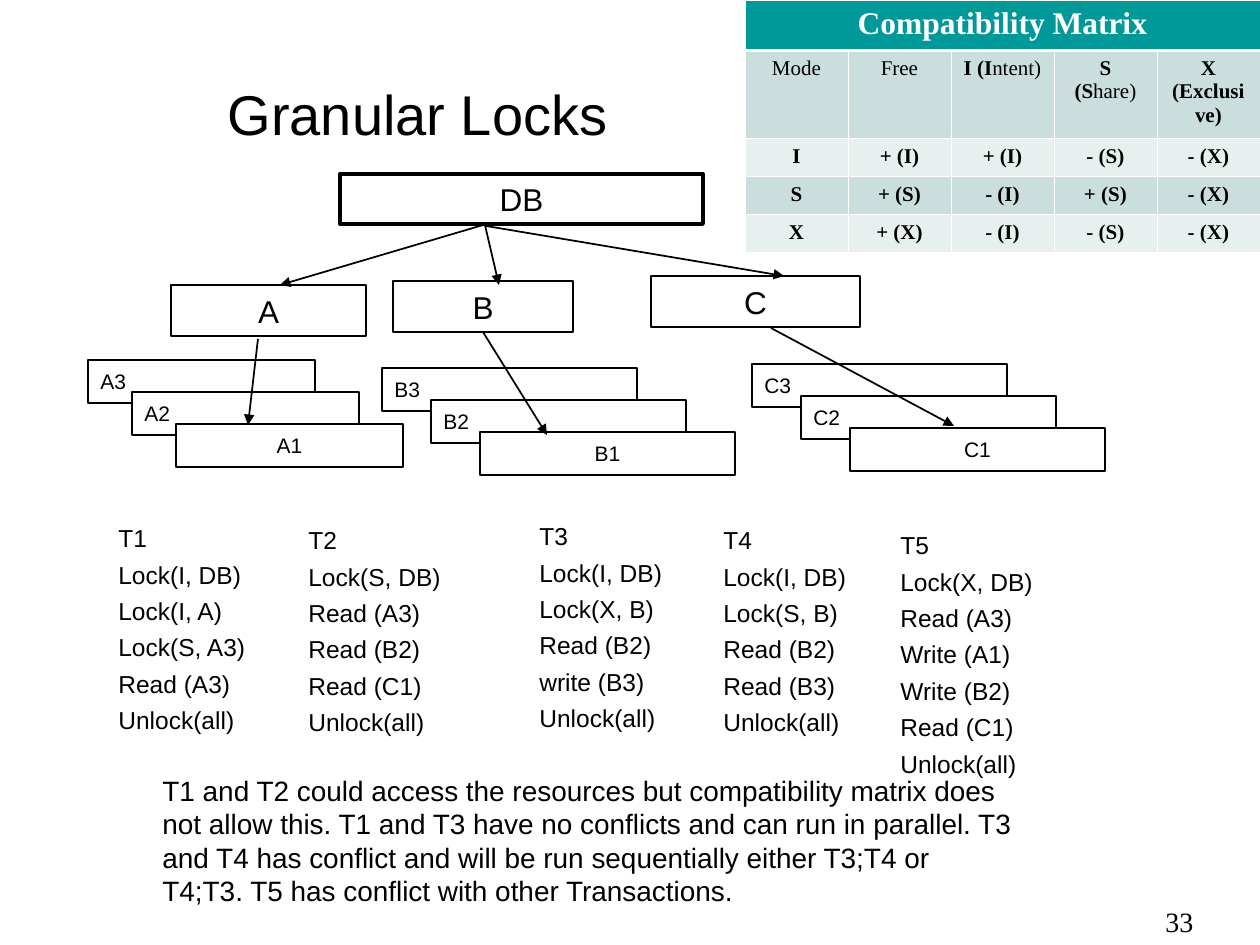
from dataclasses import dataclass

from lxml.etree import SubElement
from pptx import Presentation
from pptx.dml.color import RGBColor
from pptx.enum.shapes import MSO_CONNECTOR as Connector, MSO_SHAPE as Shape
from pptx.enum.text import MSO_ANCHOR as Anchor, PP_ALIGN as Align
from pptx.oxml.ns import qn
from pptx.util import Emu, Pt

EMU_PER_PX = 914400 / 126


@dataclass(frozen=True)
class Theme:
    sans: str = "Arial"
    serif: str = "Times New Roman"
    ink: str = "000000"
    paper: str = "FFFFFF"
    header: str = "009999"
    bands: tuple = ("CBDEDE", "E7EFEF")
    title: int = 32
    heading: int = 18
    note: int = 16
    steps: int = 14
    small: int = 12


THEME = Theme()

MATRIX = [
    [("", "Mode"), ("", "Free"), ("I (I", "ntent)"), ("S (S", "hare)"), ("X (Exclusive)", "")],
    ["I", "+ (I)", "+ (I)", "- (S)", "- (X)"],
    ["S", "+ (S)", "- (I)", "+ (S)", "- (X)"],
    ["X", "+ (X)", "- (I)", "- (S)", "- (X)"],
]
TRANSACTIONS = [
    ((106, 517), ["T1", "Lock(I, DB)", "Lock(I, A)", "Lock(S, A3)", "Read (A3)", "Unlock(all)"]),
    ((296, 519), ["T2", "Lock(S, DB)", "Read (A3)", "Read (B2)", "Read (C1)", "Unlock(all)"]),
    ((527, 515), ["T3", "Lock(I, DB)", "Lock(X, B)", "Read (B2)", "write (B3)", "Unlock(all)"]),
    ((711, 519), ["T4", "Lock(I, DB)", "Lock(S, B)", "Read (B2)", "Read (B3)", "Unlock(all)"]),
    ((888, 524), ["T5", "Lock(X, DB)", "Read (A3)", "Write (A1)", "Write (B2)", "Read (C1)",
                  "Unlock(all)"]),
]
NOTE = ("T1 and T2 could access the resources but compatibility matrix does not allow this. "
        "T1 and T3 have no conflicts and can run in parallel. T3 and T4 has conflict and will "
        "be run sequentially either T3;T4 or T4;T3. T5 has conflict with other Transactions.")


def px(*lengths):
    return [Emu(round(length * EMU_PER_PX)) for length in lengths]


def color(value):
    return RGBColor.from_string(value)


def style(paragraph, size, align=Align.LEFT, family=THEME.sans, ink=THEME.ink):
    paragraph.alignment = align
    font = paragraph.font
    font.name, font.size, font.color.rgb = family, Pt(size), color(ink)


def add_title(slide, box, text, indent):
    title = slide.shapes.title
    title.left, title.top, title.width, title.height = px(*box)
    title.text_frame.vertical_anchor = Anchor.MIDDLE
    paragraph = title.text_frame.paragraphs[0]
    paragraph.text = text
    paragraph._p.get_or_add_pPr().set("marL", str(px(indent)[0]))
    style(paragraph, THEME.title)


def add_text(slide, box, lines, size, family=THEME.sans):
    frame = slide.shapes.add_textbox(*px(*box)).text_frame
    frame.word_wrap = True
    for index, line in enumerate(lines):
        paragraph = frame.add_paragraph() if index else frame.paragraphs[0]
        paragraph.text = line
        if index:
            paragraph.space_before = Pt(4)
        style(paragraph, size, family=family)


def add_box(shapes, box, text, size, line_width=1.5, align=Align.CENTER):
    shape = shapes.add_shape(Shape.RECTANGLE, *px(*box))
    shape.shadow.inherit = False
    shape.fill.solid()
    shape.fill.fore_color.rgb = color(THEME.paper)
    shape.line.color.rgb = color(THEME.ink)
    shape.line.width = Pt(line_width)
    shape.text_frame.word_wrap = True
    shape.text_frame.vertical_anchor = Anchor.MIDDLE
    paragraph = shape.text_frame.paragraphs[0]
    paragraph.text = text
    style(paragraph, size, align)
    return shape


def add_arrow(slide, start, end):
    arrow = slide.shapes.add_connector(Connector.STRAIGHT, *px(*start, *end))
    arrow.line.color.rgb = color(THEME.ink)
    arrow.line.width = Pt(1)
    SubElement(arrow.line._get_or_add_ln(), qn("a:tailEnd"), type="triangle")
    SubElement(arrow._element.spPr, qn("a:effectLst"))
    return arrow


def add_stack(slide, box, name, step):
    """Three overlapping boxes, each a step further right and down, numbered 3 to 1."""
    left, top, width, height = box
    group = slide.shapes.add_group_shape()
    for index in range(3):
        align = Align.CENTER if index == 2 else Align.LEFT
        add_box(group.shapes, (left + index * step, top + index * 32, width, height),
                f"{name}{3 - index}", THEME.small, align=align)


def add_hierarchy(slide, box):
    left, top, width, height = box

    def at(x, y):
        return left + x, top + y

    # Database and its three children
    add_box(slide.shapes, (*at(252, 0), 363, 50), "DB", THEME.heading, 2.25)
    nodes = {name: add_box(slide.shapes, (*at(x, y), node_width, 51), name, THEME.heading)
             for name, x, y, node_width in
             [("A", 83, 111, 195), ("C", 563, 102, 209), ("B", 305, 107, 180)]}
    for start, end in [((402, 49), (192, 111)), ((397, 51), (411, 111)), ((398, 52), (696, 102))]:
        add_arrow(slide, at(*start), at(*end))

    # Stacked items below each child
    for name, x, y, item_width, step in [("A", 0, 186, 227, 44), ("B", 294, 194, 255, 49),
                                         ("C", 664, 190, 255, 49)]:
        add_stack(slide, (*at(x, y), item_width, 43), name, step)
    add_arrow(slide, at(170, 165), at(160, 251))
    add_arrow(slide, at(395, 158), at(459, 261)).begin_connect(nodes["B"], 2)
    add_arrow(slide, at(683, 154), at(866, 252))


def format_cell(cell, fill, bottom=0.45, top=0.45):
    properties = cell._tc.get_or_add_tcPr()
    for side, width in [("L", 0.45), ("R", 0.45), ("T", top), ("B", bottom)]:
        border = SubElement(properties, qn(f"a:ln{side}"), w=str(Pt(width)))
        paint = SubElement(border, qn("a:solidFill"))
        SubElement(paint, qn("a:srgbClr"), val=THEME.paper)
    cell.fill.solid()
    cell.fill.fore_color.rgb = color(fill)


def add_matrix(slide, box):
    table = slide.shapes.add_table(len(MATRIX) + 1, 5, *px(*box)).table
    table.horz_banding = False
    for column in table.columns:
        column.width = px(box[2] / 5)[0]
    for row, height in zip(table.rows, px(50, 88, 38, 38, 38)):
        row.height = height

    # Merged heading
    heading = table.cell(0, 0)
    heading.merge(table.cell(0, 4))
    heading.text = "Compatibility Matrix"
    style(heading.text_frame.paragraphs[0], THEME.heading, Align.CENTER, THEME.serif, THEME.paper)
    heading.text_frame.paragraphs[0].font.bold = True
    format_cell(heading, THEME.header, bottom=1.5)

    # Lock modes
    for row, values in enumerate(MATRIX, 1):
        for column, value in enumerate(values):
            cell = table.cell(row, column)
            paragraph = cell.text_frame.paragraphs[0]
            bold_part, plain_part = value if row == 1 else (value, "")
            for text, bold in [(bold_part, True), (plain_part, False)]:
                if text:
                    run = paragraph.add_run()
                    run.text, run.font.bold = text, bold
            style(paragraph, THEME.small, Align.CENTER, THEME.serif)
            format_cell(cell, THEME.bands[(row - 1) % 2], top=1.5 if row == 1 else 0.45)


def main():
    presentation = Presentation()
    presentation.slide_width, presentation.slide_height = px(1260, 945)
    slide = presentation.slides.add_slide(presentation.slide_layouts[5])
    add_title(slide, (28, 34, 1232, 158), "Granular Locks", 187)
    add_hierarchy(slide, (88, 174, 1018, 304))
    for (left, top), lines in TRANSACTIONS:
        add_text(slide, (left, top, 212, 4 + 36 * len(lines)), lines, THEME.steps)
    add_matrix(slide, (745, 0, 515, 252))
    add_text(slide, (150, 767, 876, 147), [NOTE], THEME.note)
    # Page number
    add_text(slide, (1153, 898, 107, 47), ["33"], THEME.note, THEME.serif)
    presentation.save("out.pptx")


if __name__ == "__main__":
    main()
